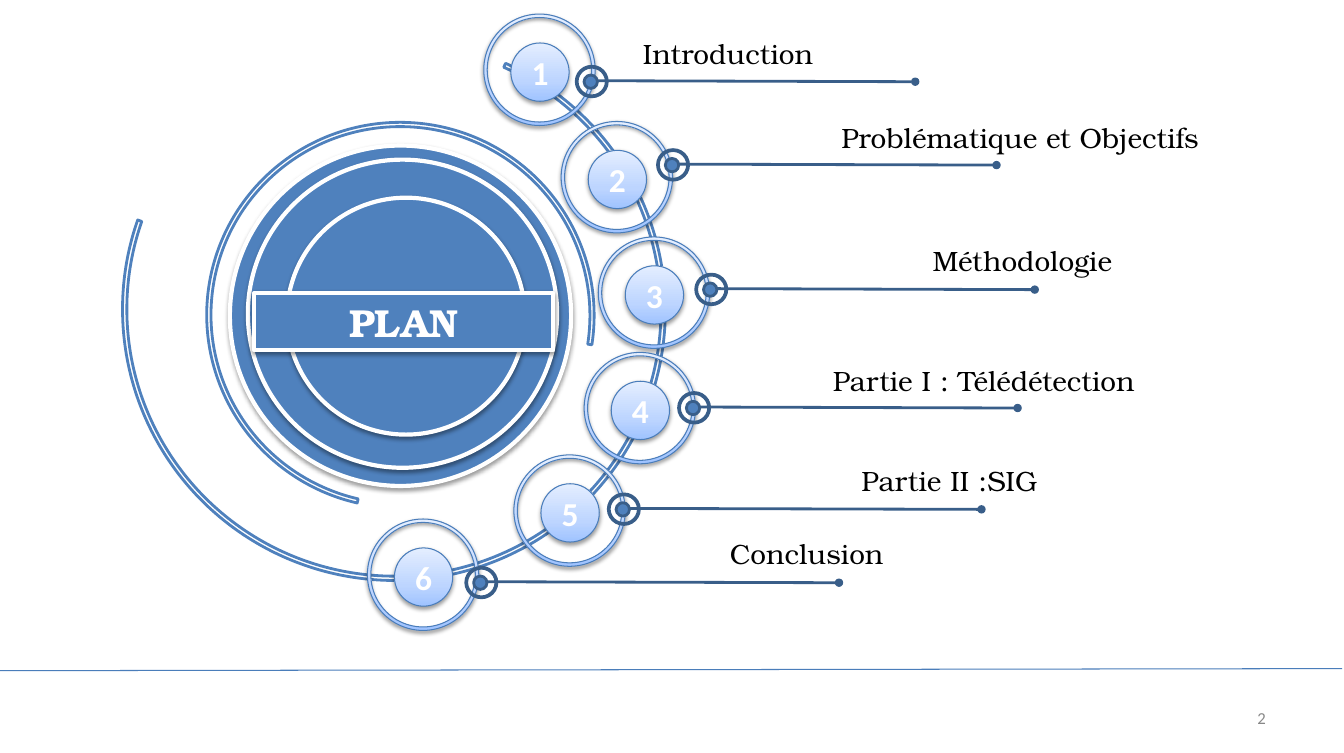
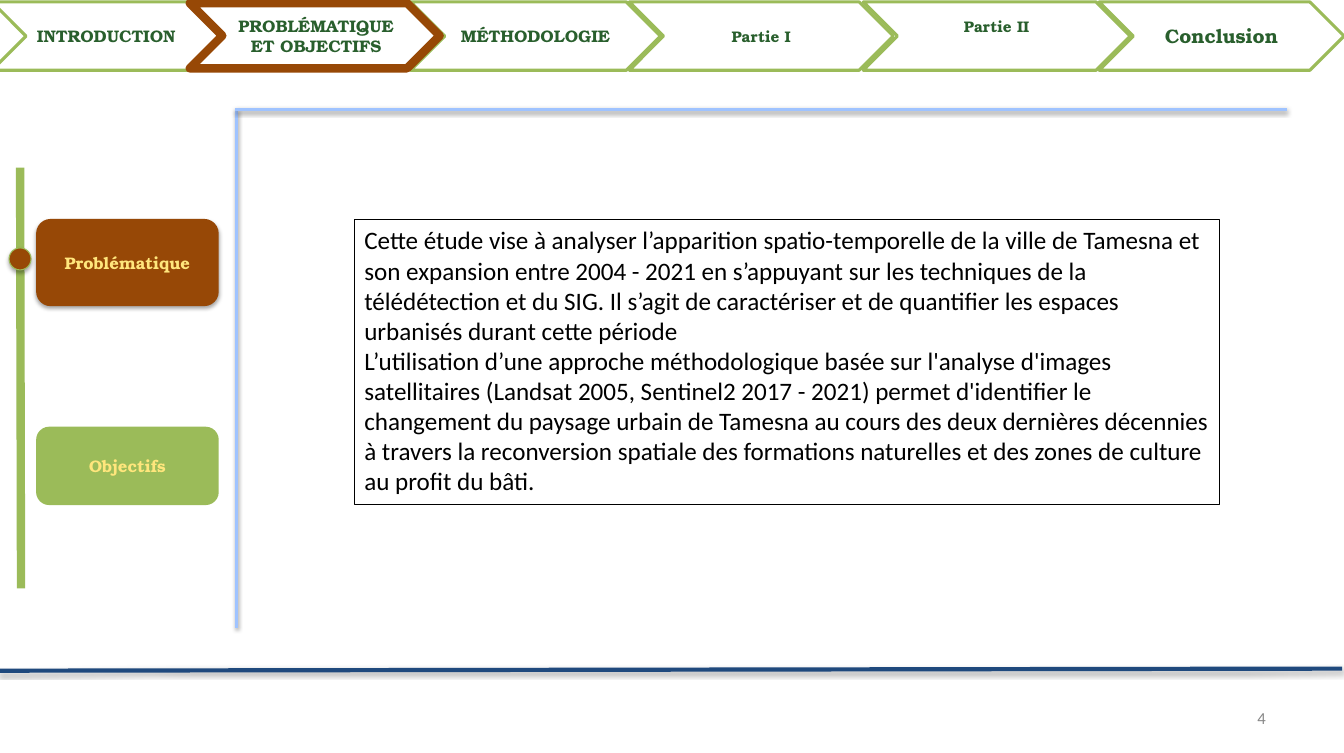
"""Build the plan slide and the problem statement slide of a thesis defence."""
from copy import deepcopy
from dataclasses import dataclass
from typing import NamedTuple, Optional

from lxml import etree
from pptx import Presentation
from pptx import util as u
from pptx.dml.color import RGBColor
from pptx.enum import shapes, text
from pptx.oxml import ns

Pt = u.Pt
MSO = shapes.MSO_SHAPE
ALIGN = text.PP_ALIGN
ANCHOR = text.MSO_ANCHOR

WHITE = RGBColor(0xFF, 0xFF, 0xFF)
BLACK = RGBColor(0, 0, 0)
GREY = RGBColor(0x88, 0x88, 0x88)
BLUE = RGBColor(0x4F, 0x81, 0xBD)
EDGE_BLUE = RGBColor(0x4A, 0x7D, 0xBA)
PIN_BLUE = RGBColor(0x39, 0x5E, 0x89)
NAVY = RGBColor(0x1F, 0x49, 0x7D)
SKY = RGBColor(0x9F, 0xC3, 0xFF)
GREEN = RGBColor(0x9B, 0xBB, 0x59)
DARK_GREEN = RGBColor(0x29, 0x5F, 0x2D)
BROWN = RGBColor(0x97, 0x48, 0x06)
YELLOW = RGBColor(0xFF, 0xE6, 0x7C)
BADGE_STOPS = ((0, SKY), (0.35, RGBColor(0xBD, 0xD5, 0xFF)), (1, RGBColor(0xE4, 0xEE, 0xFF)))

SERIF = "TeX Gyre Bonum"
SANS = "Calibri"


class Box(NamedTuple):
    """Left, top, width and height in points."""
    x: float
    y: float
    w: float
    h: float


class Shadow(NamedTuple):
    """Downward shadow: opacity in percent, blur and distance in points."""
    alpha: int
    blur: float
    dist: float


SOFT = Shadow(38, 3.1, 1.6)
LOW = Shadow(35, 3.1, 1.8)


@dataclass
class Step:
    """One entry of the plan: its badge, pin, rule length and label."""
    label: str
    badge: tuple[float, float]
    pin: tuple[float, float]
    rule: float
    label_box: Box
    align: ALIGN


@dataclass
class Tab:
    """One chevron of the navigation band."""
    label: str
    x: float
    w: float
    size: float = 12
    bottom: float = 3.6


STEPS = (
    Step("Introduction", (347, 10.1), (413.3, 47.5), 230.4, Box(454, 23, 488, 31.7), ALIGN.LEFT),
    Step("Problématique et Objectifs", (402.5, 87.1), (471.6, 107.3), 230.4,
         Box(480, 82.8, 387, 31.7), ALIGN.RIGHT),
    Step("Méthodologie", (429.1, 169.9), (499, 196.6), 230.4,
         Box(444.2, 171.4, 360.7, 31.7), ALIGN.RIGHT),
    Step("Partie I : Télédétection", (419, 252.7), (486.7, 281.5), 230.4,
         Box(449.3, 257, 512.6, 31.7), ALIGN.CENTER),
    Step("Partie II :SIG", (368.6, 326.2), (436.3, 354.2), 254.9,
         Box(483.8, 329, 394.6, 31.7), ALIGN.CENTER),
    Step("Conclusion", (263.5, 372.2), (334.1, 406.8), 254.9,
         Box(119.5, 381.6, 521.3, 31.7), ALIGN.RIGHT),
)

TABS = (
    Tab("INTRODUCTION", -5.8, 164.2),
    Tab("PROBLÉMATIQUE\nET OBJECTIFS", 136.1, 181.4),
    Tab("MÉTHODOLOGIE", 294.5, 179.3),
    Tab("Partie I", 451.4, 189.4, 11),
    Tab("Conclusion", 788.4, 175.7, 14),
    Tab("Partie II", 619.2, 191.5, 11, 17),
)

STUDY = (
    "Cette étude vise à analyser l’apparition spatio-temporelle de la ville de Tamesna et son "
    "expansion entre 2004 - 2021 en s’appuyant sur les techniques de la télédétection et du SIG. "
    "Il s’agit de caractériser et de quantifier les espaces urbanisés durant cette période\n"
    "L’utilisation d’une approche méthodologique basée sur l'analyse d'images satellitaires "
    "(Landsat 2005, Sentinel2 2017 - 2021) permet d'identifier le changement du paysage urbain de "
    "Tamesna au cours des deux dernières décennies à travers la reconversion spatiale des "
    "formations naturelles et des zones de culture au profit du bâti."
)


def set_shadow(sp, shadow: Optional[Shadow]) -> None:
    """Give a shape or connector the shadow, or none at all."""
    effects = etree.SubElement(sp._element.spPr, ns.qn("a:effectLst"))
    if shadow:
        outer = etree.SubElement(effects, ns.qn("a:outerShdw"), blurRad=str(Pt(shadow.blur)),
                                 dist=str(Pt(shadow.dist)), dir="5400000", rotWithShape="0")
        color = etree.SubElement(outer, ns.qn("a:srgbClr"), val="000000")
        etree.SubElement(color, ns.qn("a:alpha"), val=str(shadow.alpha * 1000))


def set_gradient(sp) -> None:
    """Fill a shape with the badge gradient, darkest at the bottom."""
    sp.fill.gradient()
    sp.fill.gradient_angle = 90
    stops = sp._element.spPr.find(".//" + ns.qn("a:gsLst"))
    stops.insert(1, deepcopy(stops[0]))
    for stop, (position, color) in zip(sp.fill.gradient_stops, BADGE_STOPS):
        stop.position = position
        stop.color.rgb = color


def style(sp, fill=None, line=None, width: float = 0.75, shadow=None) -> None:
    """Set the fill, outline and shadow of a shape."""
    if fill is BADGE_STOPS:
        set_gradient(sp)
    elif fill is None:
        sp.fill.background()
    else:
        sp.fill.solid()
        sp.fill.fore_color.rgb = fill
    if line is None:
        sp.line.fill.background()
    else:
        sp.line.color.rgb = line
        sp.line.width = Pt(width)
    set_shadow(sp, shadow)


def write(sp, content: str, *, size: float, color: RGBColor, font: str = SERIF,
          bold: bool = False, align: ALIGN = ALIGN.CENTER, anchor: ANCHOR = ANCHOR.MIDDLE,
          bottom: float = 3.6) -> None:
    """Write text into a shape, one paragraph a line."""
    tf = sp.text_frame
    tf.word_wrap = True
    tf.auto_size = text.MSO_AUTO_SIZE.NONE
    tf.vertical_anchor = anchor
    tf.margin_left = tf.margin_right = Pt(7.2)
    tf.margin_top, tf.margin_bottom = Pt(3.6), Pt(bottom)
    tf.text = content
    for p in tf.paragraphs:
        p.alignment = align
        f = p.runs[0].font
        f.name, f.size, f.bold = font, Pt(size), bold
        f.color.rgb = color


def add_shape(s, kind: MSO, box: Box, adjust: tuple = (), **look):
    """Add a styled preset shape."""
    sp = s.shapes.add_shape(kind, *map(Pt, box))
    for i, value in enumerate(adjust):
        sp.adjustments[i] = value
    style(sp, **look)
    return sp


def add_label(s, box: Box, content: str, **fmt) -> None:
    """Add a text box."""
    write(s.shapes.add_textbox(*map(Pt, box)), content, **fmt)


def add_line(s, start: tuple, end: tuple, color: RGBColor, width: float,
             shadow: Optional[Shadow] = None, dot_end: bool = False) -> None:
    """Add a straight line, with a round end if asked."""
    line = s.shapes.add_connector(shapes.MSO_CONNECTOR.STRAIGHT, *map(Pt, start + end))
    line.line.color.rgb = color
    line.line.width = Pt(width)
    if dot_end:
        etree.SubElement(line.line._get_or_add_ln(), ns.qn("a:tailEnd"), type="oval")
    set_shadow(line, shadow)


def add_footer(s, number: int, color: RGBColor, width: float,
               shadow: Optional[Shadow] = None) -> None:
    """Add the footer rule and the slide number."""
    add_line(s, (-1.4, 481), (962.6, 479.5), color, width, shadow)
    add_label(s, Box(690.5, 500.4, 224.6, 28.8), str(number), size=12, color=GREY, font=SANS,
              align=ALIGN.RIGHT)


def add_step(s, number: int, step: Step) -> None:
    """Add the numbered badge, pin and label of one plan entry."""
    x, y = step.badge
    look = dict(fill=BADGE_STOPS, line=EDGE_BLUE, shadow=SOFT)
    add_shape(s, MSO.DONUT, Box(x, y, 79.9, 79.9), (0.031,), **look)
    disc = add_shape(s, MSO.OVAL, Box(x + 19.4, y + 20.7, 41.8, 41.8), **look)
    write(disc, str(number), size=24, color=WHITE, font=SANS, bold=True)

    x, y = step.pin
    look = dict(fill=BLUE, line=PIN_BLUE, width=2)
    add_line(s, (x + 12.8, y + 10.4), (x + 12.8 + step.rule, y + 11.1), PIN_BLUE, 2, dot_end=True)
    add_shape(s, MSO.DONUT, Box(x, y, 22.3, 21.9), (0.031,), **look)
    add_shape(s, MSO.OVAL, Box(x + 5.6, y + 6.3, 9.6, 9.6), **look)
    add_label(s, step.label_box, step.label, size=20, color=BLACK, align=step.align,
              anchor=ANCHOR.TOP)


def build_plan(prs) -> None:
    """Build the plan wheel with its six entries."""
    s = prs.slides.add_slide(prs.slide_layouts[5])
    add_footer(s, 2, EDGE_BLUE, 0.75)
    for box, turn, adjust in (
            (Box(87.8, 28.1, 389.5, 388.1), 199.5, (56.922, 215.884, 0.008)),
            (Box(148.3, 87.8, 277.9, 276.5), 8.1, (56.922, 0.425, 0.011))):
        arc = add_shape(s, MSO.BLOCK_ARC, box, adjust, fill=WHITE, line=BLUE, width=2)
        arc.rotation = turn

    look = dict(fill=BLUE, line=WHITE, width=3, shadow=SOFT)
    for box in (Box(164.9, 104.4, 244.8, 244.1), Box(177.8, 114.5, 221.8, 221),
                Box(205.9, 141.8, 170.6, 169.9)):
        add_shape(s, MSO.OVAL, box, **look)
    title = s.shapes.title
    title.left, title.top, title.width, title.height = map(Pt, (182.2, 210.2, 214.6, 41))
    style(title, **look)
    write(title, "PLAN", size=28, color=WHITE, bold=True)
    s.shapes._spTree.append(title._element)

    for number, step in enumerate(STEPS, 1):
        add_step(s, number, step)


def build_problem(prs) -> None:
    """Build the problem statement with its navigation band and side menu."""
    s = prs.slides.add_slide(prs.slide_layouts[6])
    add_footer(s, 4, NAVY, 3, LOW)
    add_line(s, (14.4, 120.2), (15.1, 421.9), GREEN, 6)
    for label, y, h, fill, shadow in (("Problématique", 157, 62.6, BROWN, LOW),
                                      ("Objectifs", 306, 56.2, GREEN, None)):
        button = add_shape(s, MSO.ROUNDED_RECTANGLE, Box(25.9, y, 131, h), fill=fill,
                           shadow=shadow)
        write(button, label, size=12, color=YELLOW, bold=True)
    add_shape(s, MSO.FLOWCHART_CONNECTOR, Box(6.5, 177.8, 15.8, 15.8), fill=BROWN, line=GREEN,
              shadow=LOW)

    add_line(s, (169.9, 78.5), (169.9, 450), SKY, 2, SOFT)
    add_line(s, (168.5, 78.5), (923, 78.5), SKY, 2, SOFT)

    for tab in TABS:
        chevron = add_shape(s, MSO.CHEVRON, Box(tab.x, 1.4, tab.w, 49), fill=WHITE, line=GREEN,
                            width=2.25)
        write(chevron, tab.label, size=tab.size, color=DARK_GREEN, bold=True, bottom=tab.bottom)
    add_shape(s, MSO.CHEVRON, Box(136.1, 2.2, 179.3, 46.8), line=BROWN, width=6)

    study = add_shape(s, MSO.RECTANGLE, Box(254.2, 157.7, 620.6, 203.8), line=BLACK)
    write(study, STUDY, size=18, color=BLACK, font=SANS, align=ALIGN.LEFT, anchor=ANCHOR.TOP)


def main() -> None:
    """Build and save the presentation."""
    prs = Presentation()
    prs.slide_width, prs.slide_height = Pt(964), Pt(540)
    build_plan(prs)
    build_problem(prs)
    prs.save("out.pptx")


if __name__ == "__main__":
    main()
